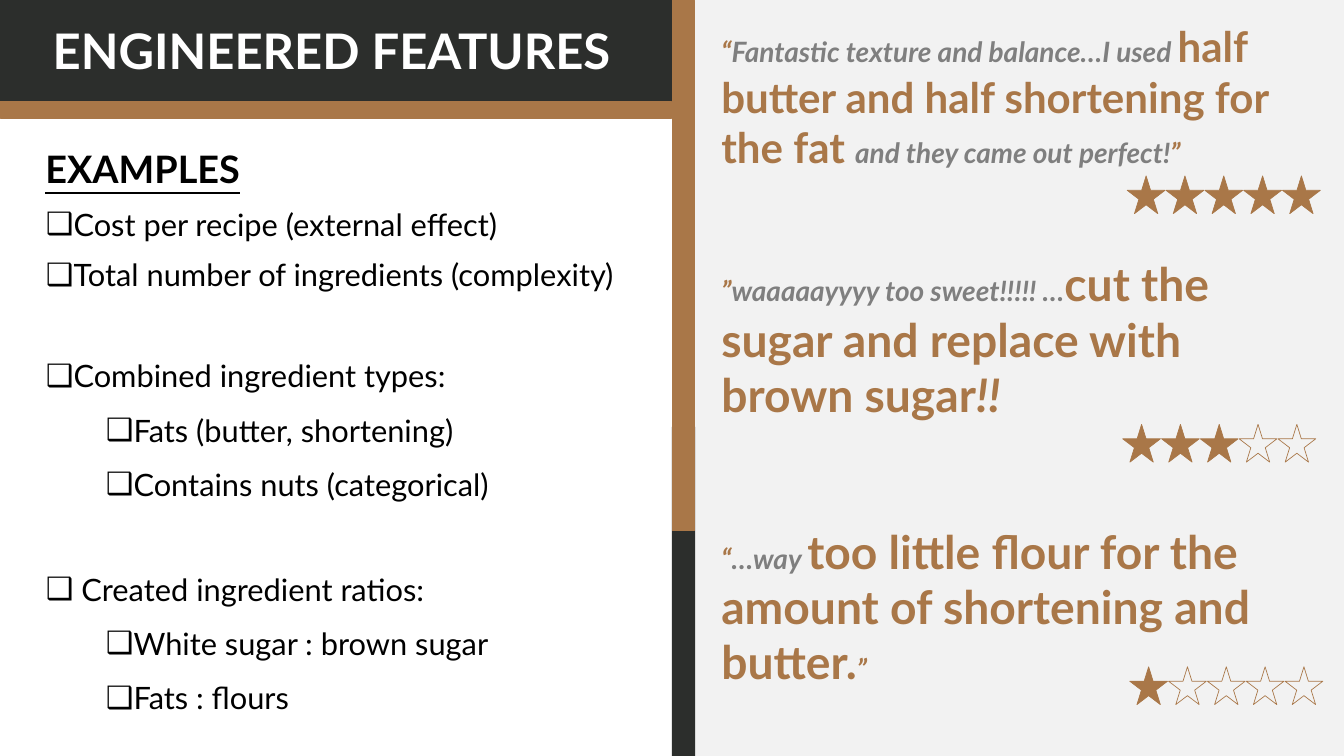
from dataclasses import dataclass
from typing import NamedTuple

from lxml.etree import SubElement
from pptx import Presentation
from pptx.dml.color import RGBColor
from pptx.enum.shapes import MSO_SHAPE
from pptx.enum.text import MSO_ANCHOR, MSO_AUTO_SIZE, PP_ALIGN
from pptx.oxml.ns import qn
from pptx.util import Inches, Pt


@dataclass(frozen=True)
class Theme:
    font: str = "Lato"
    dark: str = "2C2E2C"
    copper: str = "A97748"
    grey: str = "7F7F7F"
    pale: str = "F2F2F2"
    white: str = "FFFFFF"
    black: str = "000000"
    title: int = 70
    heading: int = 54
    item: int = 44
    aside: int = 40
    medium: int = 60
    large: int = 66
    outline: int = 1


class Area(NamedTuple):
    left: float
    top: float
    width: float
    height: float


class Panel(NamedTuple):
    area: Area
    color: str
    outlined: bool = False


class Item(NamedTuple):
    text: str
    level: int = 0
    before: int = 9


class Span(NamedTuple):
    text: str
    size: int
    color: str
    italic: bool = True


class Quote(NamedTuple):
    before: int
    spans: list[Span]


class Rating(NamedTuple):
    left: float
    top: float
    score: int


THEME = Theme()
STAR_COUNT = 5
STAR_SIZE = 0.75
STAR_PITCH = 0.77
HANGING = 0.5
ITEM_MARGINS = (0.5, 1.69)
ITEM_SPACING = (1.2, 1.3)

PANELS = [
    Panel(Area(0, 0, 13.55, 2.02), THEME.dark),
    Panel(Area(0, 2.01, 13.32, 0.33), THEME.copper, True),
    Panel(Area(13.79, 0, 12.87, 15), THEME.pale),
    Panel(Area(13.33, 8.47, 0.46, 6.53), THEME.dark),
    Panel(Area(13.34, 0, 0.44, 10.53), THEME.copper, True),
]

ITEMS = [
    Item("Cost per recipe (external effect)", before=0),
    Item("Total number of ingredients (complexity)"),
    Item("Combined ingredient types:", before=81),
    Item("Fats (butter, shortening)", 1),
    Item("Contains nuts (categorical)", 1),
    Item(" Created ingredient ratios:", before=86),
    Item("White sugar : brown sugar", 1),
    Item("Fats : flours", 1),
]

QUOTES = [
    Quote(0, [
        Span("“", THEME.aside, THEME.copper),
        Span("Fantastic texture and balance…I used ", THEME.aside, THEME.grey),
        Span("half butter and half shortening for the fat ", THEME.medium, THEME.copper, False),
        Span("and they came out perfect!", THEME.aside, THEME.grey),
        Span("”", THEME.aside, THEME.copper),
    ]),
    Quote(120, [
        Span("”", THEME.aside, THEME.copper),
        Span("waaaaayyyy too sweet!!!!! …", THEME.aside, THEME.grey),
        Span("cut the sugar and replace with brown sugar", THEME.large, THEME.copper, False),
        Span("!!", THEME.large, THEME.copper),
    ]),
    Quote(144, [
        Span("“", THEME.aside, THEME.copper),
        Span("…way ", THEME.aside, THEME.grey),
        Span("too little flour for the amount of shortening and butter.",
             THEME.large, THEME.copper, False),
        Span("”", THEME.aside, THEME.copper),
    ]),
]

RATINGS = [Rating(22.36, 3.49, 5), Rating(22.27, 8.42, 3), Rating(22.41, 13.23, 1)]


def place(shape, area: Area) -> None:
    shape.left, shape.top, shape.width, shape.height = map(Inches, area)


def paint(shape, fill: str | None, line: str | None) -> None:
    shape.shadow.inherit = False
    for part, color in ((shape.fill, fill), (shape.line.fill, line)):
        if color:
            part.solid()
            part.fore_color.rgb = RGBColor.from_string(color)
        else:
            part.background()
    if line:
        shape.line.width = Pt(THEME.outline)


def style(span, size: int, color: str, bold: bool = False, italic: bool = False) -> None:
    font = span.font
    font.name, font.size = THEME.font, Pt(size)
    font.bold, font.italic = bold, italic
    font.color.rgb = RGBColor.from_string(color)


def prepare_frame(shape, across: float = 0.1, down: float = 0.05):
    frame = shape.text_frame
    frame.word_wrap = True
    frame.auto_size = MSO_AUTO_SIZE.NONE
    frame.vertical_anchor = MSO_ANCHOR.TOP
    frame.margin_left = frame.margin_right = Inches(across)
    frame.margin_top = frame.margin_bottom = Inches(down)
    return frame


def bring_forward(shape) -> None:
    shape.element.getparent().append(shape.element)


def add_panel(page, panel: Panel) -> None:
    box = page.shapes.add_shape(MSO_SHAPE.RECTANGLE, *map(Inches, panel.area))
    paint(box, panel.color, panel.color if panel.outlined else None)


def fill_title(title) -> None:
    place(title, Area(0, 0.36, 13.15, 1.28))
    bring_forward(title)
    para = prepare_frame(title).paragraphs[0]
    para.text = "ENGINEERED FEATURES"
    para.alignment = PP_ALIGN.CENTER
    style(para.runs[0], THEME.title, THEME.white, bold=True)


def fill_items(body, items: list[Item]) -> None:
    place(body, Area(0.67, 3.81, 12.4, 10.72))
    bring_forward(body)
    frame = prepare_frame(body, 0.24, 0.12)
    for index, item in enumerate(items):
        para = frame.add_paragraph() if index else frame.paragraphs[0]
        para.text = item.text
        para.level = item.level
        para.line_spacing = ITEM_SPACING[item.level]
        para.space_before = Pt(item.before)
        properties = para._p.get_or_add_pPr()
        properties.set("marL", str(Inches(ITEM_MARGINS[item.level])))
        properties.set("indent", str(Inches(-HANGING)))
        SubElement(properties, qn("a:buChar")).set("char", "❑")
        style(para.runs[0], THEME.item, THEME.black)


def add_heading(page) -> None:
    box = page.shapes.add_textbox(*map(Inches, Area(0.66, 2.59, 6.21, 1.22)))
    para = prepare_frame(box, 0.24, 0.12).paragraphs[0]
    para.text = "EXAMPLES"
    para.line_spacing = 1.2
    style(para.runs[0], THEME.heading, THEME.black, bold=True)
    para.runs[0].font.underline = True


def add_quotes(page, quotes: list[Quote]) -> None:
    box = page.shapes.add_textbox(*map(Inches, Area(14.21, 0.36, 12.02, 13.5)))
    frame = prepare_frame(box)
    for index, quote in enumerate(quotes):
        para = frame.add_paragraph() if index else frame.paragraphs[0]
        para.space_before = Pt(quote.before)
        for part in quote.spans:
            span = para.add_run()
            span.text = part.text
            style(span, part.size, part.color, bold=True, italic=part.italic)


def add_rating(page, rating: Rating) -> None:
    group = page.shapes.add_group_shape()
    for index in range(STAR_COUNT):
        area = Area(rating.left + index * STAR_PITCH, rating.top, STAR_SIZE, STAR_SIZE)
        star = group.shapes.add_shape(MSO_SHAPE.STAR_5_POINT, *map(Inches, area))
        paint(star, THEME.copper if index < rating.score else None, THEME.copper)


def main() -> None:
    deck = Presentation()
    deck.slide_width, deck.slide_height = Inches(26.66), Inches(15)
    page = deck.slides.add_slide(deck.slide_layouts[1])
    for panel in PANELS:
        add_panel(page, panel)
    fill_title(page.shapes.title)
    fill_items(page.placeholders[1], ITEMS)
    add_quotes(page, QUOTES)
    add_heading(page)
    for rating in RATINGS:
        add_rating(page, rating)
    deck.save("out.pptx")


if __name__ == "__main__":
    main()
